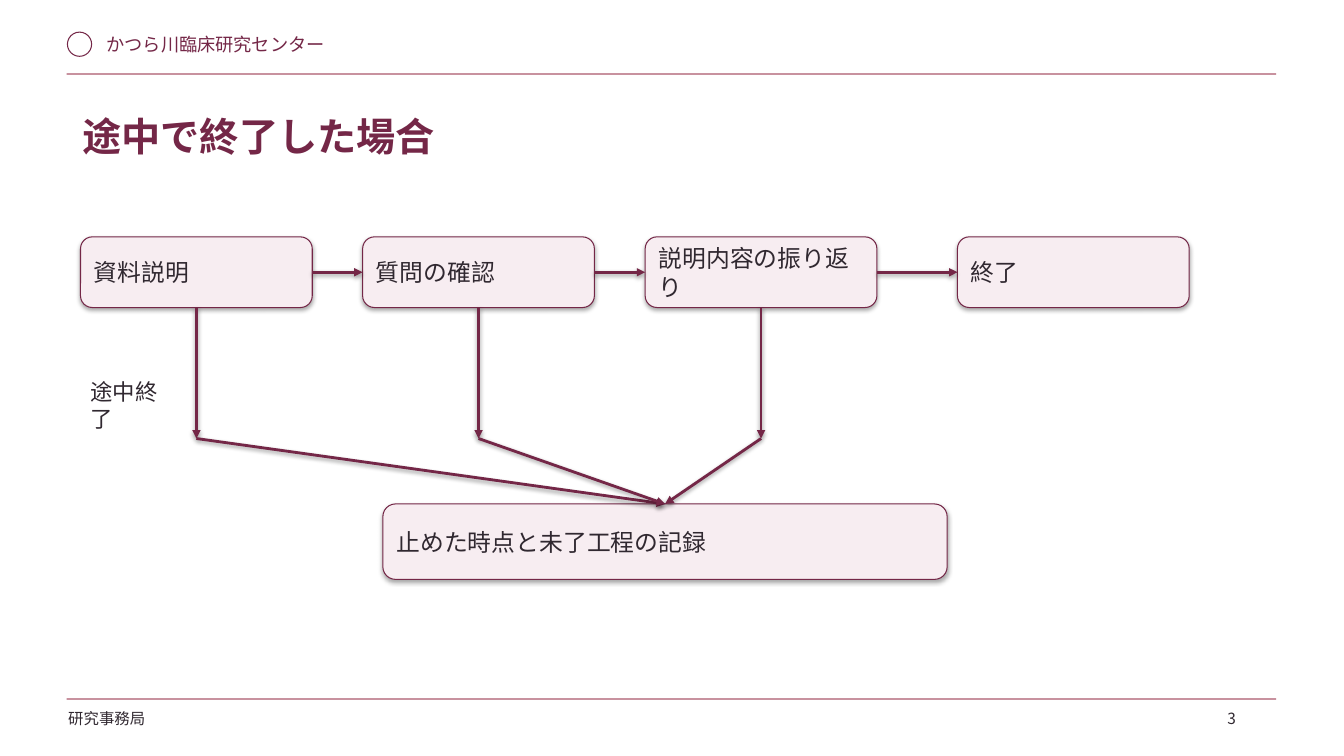
from dataclasses import dataclass

from lxml import etree
from pptx import Presentation
from pptx import util as u
from pptx.dml.color import RGBColor
from pptx.enum import shapes, text
from pptx.oxml.ns import qn


@dataclass(frozen=True)
class Theme:
    font: str = "Noto Sans CJK JP"
    plum: RGBColor = RGBColor(0x74, 0x27, 0x47)
    rose: RGBColor = RGBColor(0xAB, 0x58, 0x6C)
    blush: RGBColor = RGBColor(0xF7, 0xED, 0xF1)
    ink: RGBColor = RGBColor(0x30, 0x28, 0x30)
    title: int = 28
    step: int = 17
    label: int = 16
    brand: int = 13
    footer: int = 11


@dataclass(frozen=True)
class Box:
    """A labelled rectangle, measured in centimetres."""
    label: str
    left: float
    top: float
    width: float
    height: float

    @property
    def right(self) -> float:
        return self.left + self.width

    @property
    def bottom(self) -> float:
        return self.top + self.height

    @property
    def center(self) -> float:
        return self.left + self.width / 2

    @property
    def middle(self) -> float:
        return self.top + self.height / 2

    def lengths(self) -> tuple:
        return tuple(u.Cm(n) for n in (self.left, self.top, self.width, self.height))


THEME = Theme()
STEP_TOP, STEP_WIDTH, STEP_HEIGHT = 5.97, 5.84, 1.78
STEPS = [Box(label, left, STEP_TOP, STEP_WIDTH, STEP_HEIGHT) for label, left in (
    ("資料説明", 2.03), ("質問の確認", 9.14), ("説明内容の振り返り", 16.26), ("終了", 24.13))]
RECORD = Box("止めた時点と未了工程の記録", 9.65, 12.7, 14.22, 1.9)
TITLE = Box("途中で終了した場合", 1.83, 2.59, 30.23, 2.06)
BRAND = Box("かつら川臨床研究センター", 2.44, 0.71, 8.38, 0.89)
OFFICE = Box("研究事務局", 1.47, 17.75, 4.57, 0.91)
PAGE = Box("3", 30.68, 17.75, 1.27, 0.64)
STOP_LABEL = Box("途中終了", 2.03, 9.4, 2.54, 1.02)
EMBLEM = Box("", 1.7, 0.81, 0.61, 0.61)
RULES = [Box("", 1.68, top, 30.48, 0.03) for top in (1.85, 17.6)]
BEND = 11.05


def write(tf, content: str, size: int, color: RGBColor, bold: bool = False) -> None:
    tf.word_wrap = True
    p = tf.paragraphs[0]
    p.alignment = text.PP_ALIGN.LEFT
    r = p.add_run()
    r.text = content
    r.font.name = THEME.font
    r.font.size = u.Pt(size)
    r.font.bold = bold
    r.font.color.rgb = color
    etree.SubElement(r.font._element, qn("a:ea"), typeface=THEME.font)


def add_title(slide, box: Box) -> None:
    sp = slide.shapes.title
    sp.left, sp.top, sp.width, sp.height = box.lengths()
    tf = sp.text_frame
    tf.margin_left = tf.margin_right = tf.margin_top = tf.margin_bottom = u.Cm(0.25)
    tf.vertical_anchor = text.MSO_ANCHOR.TOP
    write(tf, box.label, THEME.title, THEME.plum, bold=True)


def add_text(slide, box: Box, size: int, color: RGBColor) -> None:
    sp = slide.shapes.add_textbox(*box.lengths())
    write(sp.text_frame, box.label, size, color)


def add_step(slide, box: Box) -> None:
    """Draw a rounded box that keeps the soft shadow of the theme."""
    sp = slide.shapes.add_shape(shapes.MSO_SHAPE.ROUNDED_RECTANGLE, *box.lengths())
    sp.fill.solid()
    sp.fill.fore_color.rgb = THEME.blush
    sp.line.color.rgb = THEME.plum
    sp.line.width = u.Pt(0.75)
    sp.text_frame.vertical_anchor = text.MSO_ANCHOR.MIDDLE
    write(sp.text_frame, box.label, THEME.step, THEME.ink)


def add_arrow(slide, x1: float, y1: float, x2: float, y2: float) -> None:
    """Draw an arrow that keeps the soft shadow of the theme."""
    line = slide.shapes.add_connector(
        shapes.MSO_CONNECTOR.STRAIGHT, *(u.Cm(n) for n in (x1, y1, x2, y2))).line
    line.color.rgb = THEME.plum
    line.width = u.Pt(2)
    etree.SubElement(line._get_or_add_ln(), qn("a:tailEnd"), type="triangle")


def add_rule(slide, box: Box) -> None:
    sp = slide.shapes.add_shape(shapes.MSO_SHAPE.RECTANGLE, *box.lengths())
    sp.shadow.inherit = False
    sp.fill.solid()
    sp.fill.fore_color.rgb = THEME.rose
    sp.line.fill.background()


def add_emblem(slide, box: Box) -> None:
    sp = slide.shapes.add_shape(shapes.MSO_SHAPE.OVAL, *box.lengths())
    sp.shadow.inherit = False
    sp.fill.background()
    sp.line.color.rgb = THEME.plum
    sp.line.width = u.Pt(0.75)


def add_frame(slide) -> None:
    """Draw the header and footer bands."""
    add_emblem(slide, EMBLEM)
    add_text(slide, BRAND, THEME.brand, THEME.plum)
    for rule in RULES:
        add_rule(slide, rule)
    for box in (OFFICE, PAGE):
        add_text(slide, box, THEME.footer, THEME.ink)


def add_flow(slide) -> None:
    for step in STEPS:
        add_step(slide, step)
    for start, end in zip(STEPS, STEPS[1:]):
        add_arrow(slide, start.right, start.middle, end.left, end.middle)
    add_step(slide, RECORD)
    for step in STEPS[:-1]:
        add_arrow(slide, step.center, step.bottom, step.center, BEND)
        add_arrow(slide, step.center, BEND, RECORD.center, RECORD.top)
    add_text(slide, STOP_LABEL, THEME.label, THEME.ink)


def main() -> None:
    prs = Presentation()
    prs.slide_width, prs.slide_height = u.Cm(33.87), u.Cm(19.05)
    slide = prs.slides.add_slide(prs.slide_layouts.get_by_name("Title Only"))
    add_frame(slide)
    add_title(slide, TITLE)
    add_flow(slide)
    prs.save("out.pptx")


if __name__ == "__main__":
    main()
